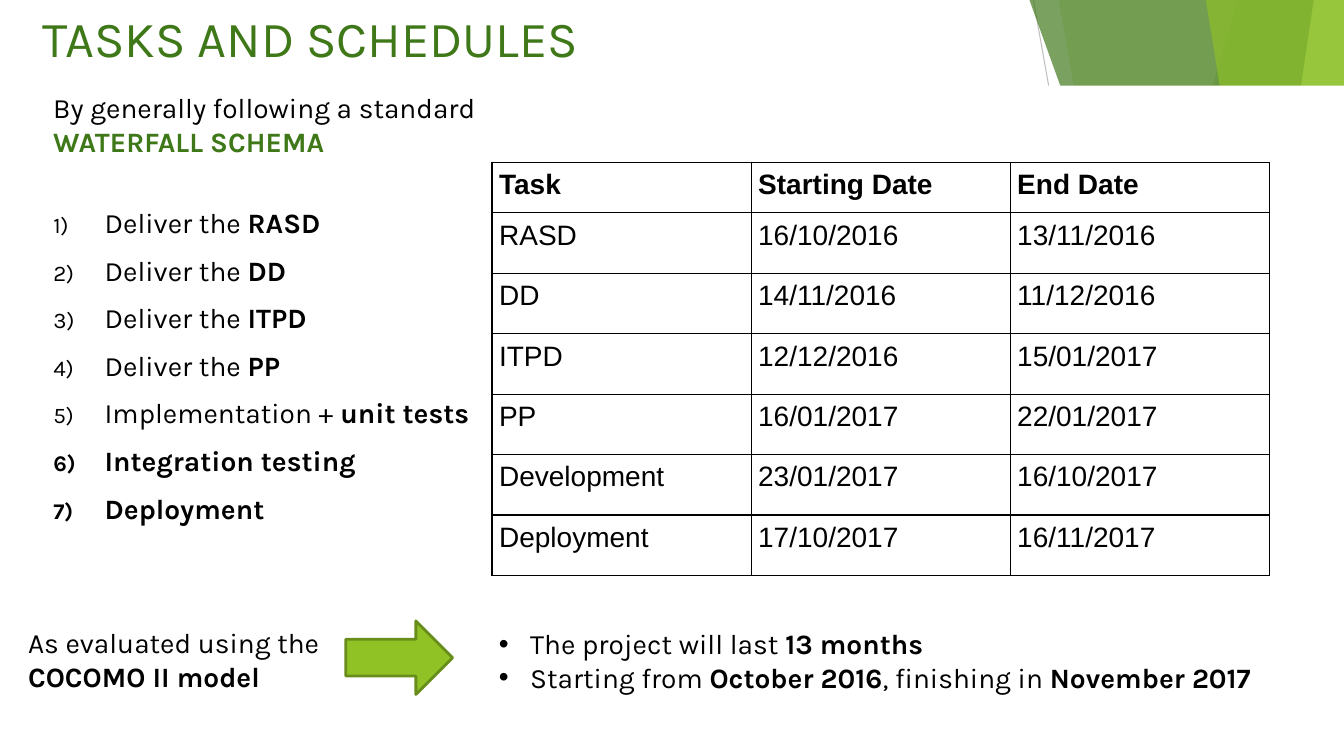
from lxml import etree
from pptx import Presentation
from pptx.dml.color import RGBColor
from pptx.enum.shapes import MSO_CONNECTOR, MSO_SHAPE
from pptx.oxml.ns import qn
from pptx.util import Inches, Pt

STRAIGHT = MSO_CONNECTOR.STRAIGHT
RECTANGLE = MSO_SHAPE.RECTANGLE
RIGHT_ARROW = MSO_SHAPE.RIGHT_ARROW

WHITE = RGBColor(0xFF, 0xFF, 0xFF)
BLACK = RGBColor(0, 0, 0)
GREY = RGBColor(0xBF, 0xBF, 0xBF)
GREEN = RGBColor(0x90, 0xC2, 0x26)
DARK_GREEN = RGBColor(0x3F, 0x78, 0x18)
LIGHT_GREEN = RGBColor(0xBF, 0xE4, 0x71)
ARROW_EDGE = RGBColor(0x69, 0x8D, 0x1B)

WIDTH, HEIGHT = 13.33, 7.5

# Left edge at the top, left edge at the bottom, colour, opacity in percent
FACETS = [
    (12.28, 10.04, GREEN, 29),
    (10.5, 11.83, GREEN, 20),
    (10.21, 12.91, DARK_GREEN, 69),
    (13.03, 11.92, LIGHT_GREEN, 69),
    (11.96, 13.18, GREEN, 64),
]

# Each step: regular text, bold text
STEPS = [
    ("Deliver the ", "RASD"),
    ("Deliver the ", "DD"),
    ("Deliver the ", "ITPD"),
    ("Deliver the ", "PP"),
    ("Implementation + ", "unit tests"),
    ("", "Integration testing"),
    ("", "Deployment"),
]

SCHEDULE = [
    ("Task", "Starting Date", "End Date"),
    ("RASD", "16/10/2016", "13/11/2016"),
    ("DD", "14/11/2016", "11/12/2016"),
    ("ITPD", "12/12/2016", "15/01/2017"),
    ("PP", "16/01/2017", "22/01/2017"),
    ("Development", "23/01/2017", "16/10/2017"),
    ("Deployment", "17/10/2017", "16/11/2017"),
]


def add_facet(slide, top_x, bottom_x, color, opacity):
    """Add a translucent band that runs to the right edge of the slide."""
    builder = slide.shapes.build_freeform(Inches(top_x), 0, scale=1.0)
    corners = [(WIDTH, 0), (WIDTH, HEIGHT), (bottom_x, HEIGHT)]
    builder.add_line_segments([(Inches(x), Inches(y)) for x, y in corners])
    facet = builder.convert_to_shape()
    facet.shadow.inherit = False
    facet.line.fill.background()
    facet.fill.solid()
    facet.fill.fore_color.rgb = color
    srgb = facet.fill._xPr.find(".//" + qn("a:srgbClr"))
    etree.SubElement(srgb, qn("a:alpha"), val=str(opacity * 1000))


def add_hairline(slide):
    hairline = slide.shapes.add_connector(
        STRAIGHT, Inches(10.25), 0, Inches(11.58), Inches(HEIGHT))
    hairline.line.color.rgb = GREY
    hairline.line.width = Pt(0.75)
    etree.SubElement(hairline._element.spPr, qn("a:effectLst"))


def add_block(slide, left, top, width, height):
    """Add a wrapping text box and return its text frame."""
    box = slide.shapes.add_textbox(
        Inches(left), Inches(top), Inches(width), Inches(height))
    box.text_frame.word_wrap = True
    return box.text_frame


def set_indent(paragraph, margin, hanging=0):
    properties = paragraph._p.get_or_add_pPr()
    properties.set("marL", str(Inches(margin)))
    properties.set("indent", str(-Inches(hanging)))
    return properties


def add_bullet(properties, tag, size=100, **attributes):
    color = etree.SubElement(properties, qn("a:buClr"))
    etree.SubElement(color, qn("a:srgbClr"), val=str(BLACK))
    etree.SubElement(properties, qn("a:buSzPct"), val=str(size * 1000))
    if tag == "a:buChar":
        etree.SubElement(properties, qn("a:buFont"), typeface="Arial")
    etree.SubElement(properties, qn(tag), **attributes)


def write(paragraph, *parts, size=20, color=BLACK, font="Karla"):
    """Fill a paragraph with parts that alternate regular and bold."""
    paragraph.font.name = font
    paragraph.font.size = Pt(size)
    paragraph.font.color.rgb = color
    for index, part in enumerate(parts):
        if part:
            run = paragraph.add_run()
            run.text = part
            run.font.bold = index % 2 == 1


def add_white_panel(slide):
    panel = slide.shapes.add_shape(
        RECTANGLE, 0, Inches(0.85), Inches(WIDTH), Inches(6.65))
    panel.shadow.inherit = False
    panel.fill.solid()
    panel.fill.fore_color.rgb = WHITE
    panel.line.fill.background()


def add_steps(slide):
    frame = add_block(slide, 0, 0.85, WIDTH, 5)
    intro = frame.paragraphs[0]
    set_indent(intro, 0.43)
    write(intro, "By generally following a standard")
    schema = frame.add_paragraph()
    set_indent(schema, 0.43)
    write(schema, "", "WATERFALL SCHEMA", color=DARK_GREEN)
    for index, step in enumerate(STEPS):
        paragraph = frame.add_paragraph()
        properties = set_indent(paragraph, 0.94, 0.51)
        add_bullet(properties, "a:buAutoNum", 80, type="arabicParenR")
        paragraph.space_before = Pt(10 if index else 34)
        write(paragraph, *step)


def add_borders(cell):
    properties = cell._tc.get_or_add_tcPr()
    for index, side in enumerate(("a:lnL", "a:lnR", "a:lnT", "a:lnB")):
        border = etree.Element(qn(side), w=str(Pt(1)))
        fill = etree.SubElement(border, qn("a:solidFill"))
        etree.SubElement(fill, qn("a:srgbClr"), val=str(BLACK))
        properties.insert(index, border)


def add_schedule(slide):
    table = slide.shapes.add_table(
        len(SCHEDULE), 3, Inches(4.88), Inches(1.61),
        Inches(7.72), Inches(4.1)).table
    for column in table.columns:
        column.width = Inches(2.57)
    for row_index, entries in enumerate(SCHEDULE):
        table.rows[row_index].height = Inches(0.6 if row_index else 0.5)
        for column_index, entry in enumerate(entries):
            cell = table.cell(row_index, column_index)
            cell.margin_left = cell.margin_right = Inches(0.07)
            cell.margin_top = cell.margin_bottom = Inches(0.07)
            cell.fill.solid()
            cell.fill.fore_color.rgb = WHITE
            add_borders(cell)
            parts = (entry,) if row_index else ("", entry)
            write(cell.text_frame.paragraphs[0], *parts, font="Arial")


def add_arrow(slide):
    arrow = slide.shapes.add_shape(
        RIGHT_ARROW, Inches(3.43), Inches(6.16), Inches(1.06), Inches(0.73))
    arrow.shadow.inherit = False
    arrow.fill.solid()
    arrow.fill.fore_color.rgb = GREEN
    arrow.line.color.rgb = ARROW_EDGE
    arrow.line.width = Pt(2)


def add_estimate(slide):
    basis = add_block(slide, 0.18, 6.16, 3.11, 0.91)
    write(basis.paragraphs[0], "As evaluated using the ", "COCOMO II model")
    add_arrow(slide)
    result = add_block(slide, 4.85, 6.17, 7.78, 0.77)
    duration, period = result.paragraphs[0], result.add_paragraph()
    for paragraph in (duration, period):
        add_bullet(set_indent(paragraph, 0.31, 0.31), "a:buChar", char="•")
    write(duration, "The project will last ", "13 months")
    write(period, "Starting from ", "October 2016",
          ", finishing in ", "November 2017")


def main():
    presentation = Presentation()
    presentation.slide_width = Inches(WIDTH)
    presentation.slide_height = Inches(HEIGHT)
    slide = presentation.slides.add_slide(presentation.slide_layouts[6])
    add_hairline(slide)
    for facet in FACETS:
        add_facet(slide, *facet)
    add_white_panel(slide)
    title = add_block(slide, 0.32, 0.02, 10.97, 0.8)
    write(title.paragraphs[0], "TASKS AND SCHEDULES", size=36, color=DARK_GREEN)
    add_steps(slide)
    add_schedule(slide)
    add_estimate(slide)
    presentation.save("out.pptx")


if __name__ == "__main__":
    main()
